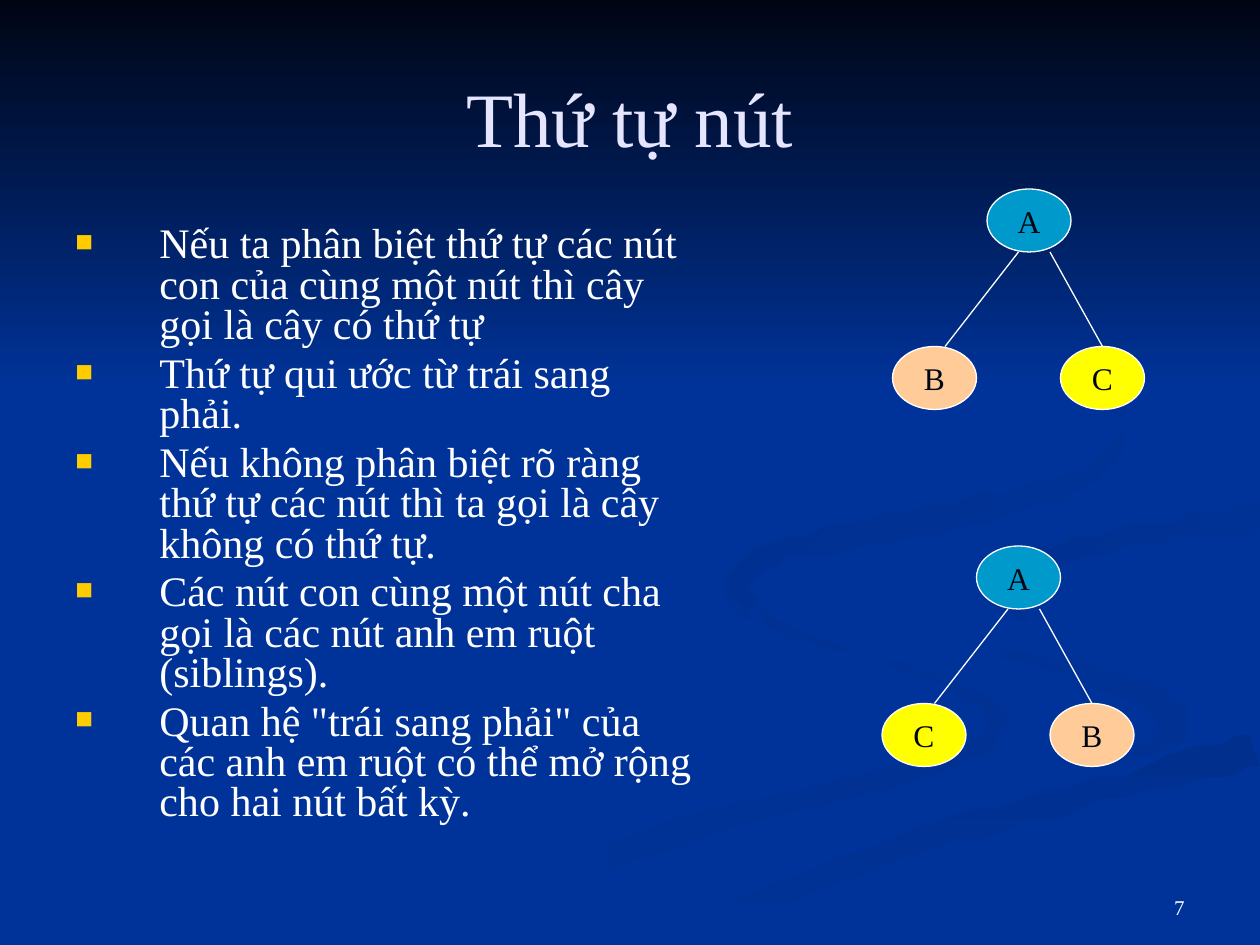
from dataclasses import dataclass
import math
from lxml import etree
from pptx import Presentation
from pptx import util as u
from pptx.dml import color
from pptx.enum import shapes, text
from pptx.oxml import ns


@dataclass(frozen=True)
class Theme:
    font: str = "Times New Roman"
    blue: str = "003399"
    shade: str = "002F8E"
    haze: str = "003193"
    night: str = "000514"
    title: str = "E5E5FF"
    white: str = "FFFFFF"
    bullet: str = "FFCC00"
    title_size: int = 44
    body_size: int = 24
    node_size: int = 18
    number_size: int = 12
    line_width: float = 0.75


THEME = Theme()
COLUMNS, ROWS = 120, 90
CELL = u.Inches(10) // COLUMNS
NODE_WIDTH, NODE_HEIGHT = 8, 6
NODE_FILLS = {"A": "0099CC", "B": "FFCC99", "C": "FFFF00"}
TREES = [(94, 18, "ABC"), (93, 52, "ACB")]
NODE_OFFSETS = [(0, 0), (-9, 15), (7, 15)]
EDGE_OFFSETS = [((3, 6), (-4, 15)), ((6, 6), (11, 15))]
CURVE_STEPS = 6

POINTS = [
    "Nếu ta phân biệt thứ tự các nút con của cùng một nút thì cây gọi là cây có thứ tự",
    "Thứ tự qui ước từ trái sang phải.",
    "Nếu không phân biệt rõ ràng thứ tự các nút thì ta gọi là cây không có thứ tự.",
    "Các nút con cùng một nút cha gọi là các nút anh em ruột (siblings).",
    'Quan hệ "trái sang phải" của các anh em ruột có thể mở rộng cho hai nút bất kỳ.',
]

RIBBONS = [
    (THEME.blue, THEME.haze, 0, [
        (69, 55.5, 0.2), (71, 58.5, 0.6), (81, 62.2, 0.4), (90, 65, 0.6),
        (95, 69, 1.6), (88, 73.3, 1.8), (64, 79.4, 2.8), (40, 89, 4)]),
    (THEME.blue, THEME.haze, 45, [
        (87, 56, 0.2), (91, 60.5, 0.8), (102, 63.7, 1.4),
        (110, 66.7, 2.2), (111.5, 69.5, 2.8), (107.5, 72.5, 0.2)]),
    (THEME.shade, THEME.blue, 90, [
        (64.5, 89.5, 3.6), (77, 84, 2.6), (93, 78.5, 2.4),
        (107, 74.7, 2.4), (119.7, 71.4, 3.4)]),
    (THEME.shade, THEME.blue, 45, [
        (98, 59, 0.2), (95.3, 56.2, 2.4), (101, 52.8, 2.2),
        (110, 50.8, 1.8), (119.7, 49.3, 2.2)]),
    (THEME.shade, THEME.blue, 45, [
        (104.7, 35.5, 0.4), (107, 41, 0.7), (102, 46, 1.8), (89, 49.5, 2.4),
        (75, 52.4, 2.3), (70.3, 55.8, 2), (74.5, 59.8, 0.2)]),
]


def rgb(value):
    return color.RGBColor.from_string(value)


def place(*cells):
    return [round(cell * CELL) for cell in cells]


def style(paragraph, size, tint, align):
    paragraph.alignment = align
    font = paragraph.font
    font.name, font.size = THEME.font, u.Pt(size)
    font.color.rgb = rgb(tint)


def blend(before, start, end, after, t):
    return (2 * start + (end - before) * t
            + (2 * before - 5 * start + 4 * end - after) * t ** 2
            + (3 * (start - end) + after - before) * t ** 3) / 2


def smooth(knots):
    padded = [knots[0], *knots, knots[-1]]
    curve = [
        tuple(blend(*values, step / CURVE_STEPS) for values in zip(*padded[i:i + 4]))
        for i in range(len(knots) - 1) for step in range(CURVE_STEPS)]
    return curve + [knots[-1]]


def ribbon_outline(knots):
    curve = smooth(knots)
    upper, lower = [], []
    for i, (x, y, width) in enumerate(curve):
        back, ahead = curve[max(i - 1, 0)], curve[min(i + 1, len(curve) - 1)]
        angle = math.atan2(ahead[1] - back[1], ahead[0] - back[0])
        across, down = -math.sin(angle) * width / 2, math.cos(angle) * width / 2
        upper.append((x + across, min(y + down, ROWS)))
        lower.append((x - across, min(y - down, ROWS)))
    return upper + lower[::-1]


def shade(shape, start, end, angle):
    shape.shadow.inherit = False
    shape.line.fill.background()
    shape.fill.gradient()
    shape.fill.gradient_angle = (360 - angle) % 360
    for stop, tint, position in zip(shape.fill.gradient_stops, (start, end), (0, 1)):
        stop.color.rgb = rgb(tint)
        stop.position = position


def add_ribbon(page, start, end, angle, knots):
    first, *others = ribbon_outline(knots)
    builder = page.shapes.build_freeform(*first, scale=CELL)
    builder.add_line_segments(others, close=True)
    shade(builder.convert_to_shape(), start, end, angle)


def add_sky(page):
    sky = page.shapes.add_shape(shapes.MSO_SHAPE.RECTANGLE, *place(0, 0, COLUMNS, 37))
    shade(sky, THEME.night, THEME.blue, 90)


def add_text(page, cells, lines, size, tint, align, anchor):
    box = page.shapes.add_textbox(*place(*cells))
    frame = box.text_frame
    frame.word_wrap = True
    frame.vertical_anchor = anchor
    frame.text = "\n".join(lines)
    for para in frame.paragraphs:
        style(para, size, tint, align)
    return frame


def add_bullets(frame):
    for para in frame.paragraphs:
        para.line_spacing = 0.8
        para.space_before = u.Pt(THEME.body_size * 0.2)
        props = para._p.get_or_add_pPr()
        props.set("marL", str(8 * CELL))
        props.set("indent", str(-8 * CELL))
        tint = etree.SubElement(props, ns.qn("a:buClr"))
        etree.SubElement(tint, ns.qn("a:srgbClr"), val=THEME.bullet)
        etree.SubElement(props, ns.qn("a:buSzPct"), val="70000")
        etree.SubElement(props, ns.qn("a:buFont"), typeface=THEME.font)
        etree.SubElement(props, ns.qn("a:buChar"), char="■")
        props.append(props.find(ns.qn("a:defRPr")))


def outline_white(shape):
    shape.line.color.rgb = rgb(THEME.white)
    shape.line.width = u.Pt(THEME.line_width)


def add_node(page, left, top, label):
    node = page.shapes.add_shape(
        shapes.MSO_SHAPE.OVAL, *place(left, top, NODE_WIDTH, NODE_HEIGHT))
    node.shadow.inherit = False
    node.fill.solid()
    node.fill.fore_color.rgb = rgb(NODE_FILLS[label])
    outline_white(node)
    frame = node.text_frame
    frame.word_wrap = False
    frame.vertical_anchor = text.MSO_ANCHOR.MIDDLE
    frame.text = label
    style(frame.paragraphs[0], THEME.node_size, THEME.night, text.PP_ALIGN.CENTER)


def add_edge(page, *cells):
    edge = page.shapes.add_connector(shapes.MSO_CONNECTOR.STRAIGHT, *place(*cells))
    outline_white(edge)
    etree.SubElement(edge._element.spPr, ns.qn("a:effectLst"))


def add_tree(page, left, top, labels):
    for (across, down), label in zip(NODE_OFFSETS, labels):
        add_node(page, left + across, top + down, label)
    for (x1, y1), (x2, y2) in EDGE_OFFSETS:
        add_edge(page, left + x1, top + y1, left + x2, top + y2)


def main():
    deck = Presentation()
    deck.slide_width, deck.slide_height = place(COLUMNS, ROWS)
    page = deck.slides.add_slide(deck.slide_layouts[6])
    page.background.fill.solid()
    page.background.fill.fore_color.rgb = rgb(THEME.blue)
    for ribbon in RIBBONS:
        add_ribbon(page, *ribbon)
    add_sky(page)
    align, anchor = text.PP_ALIGN, text.MSO_ANCHOR
    add_text(page, (86, 82, 28, 6.2), ["7"], THEME.number_size, THEME.white,
             align.RIGHT, anchor.BOTTOM)
    add_text(page, (6, 3.6, 108, 15), ["Thứ tự nút"], THEME.title_size, THEME.title,
             align.CENTER, anchor.MIDDLE)
    add_bullets(add_text(page, (6, 21, 62, 59.4), POINTS, THEME.body_size, THEME.white,
                         align.LEFT, anchor.TOP))
    for tree in TREES:
        add_tree(page, *tree)
    deck.save("out.pptx")


if __name__ == "__main__":
    main()
